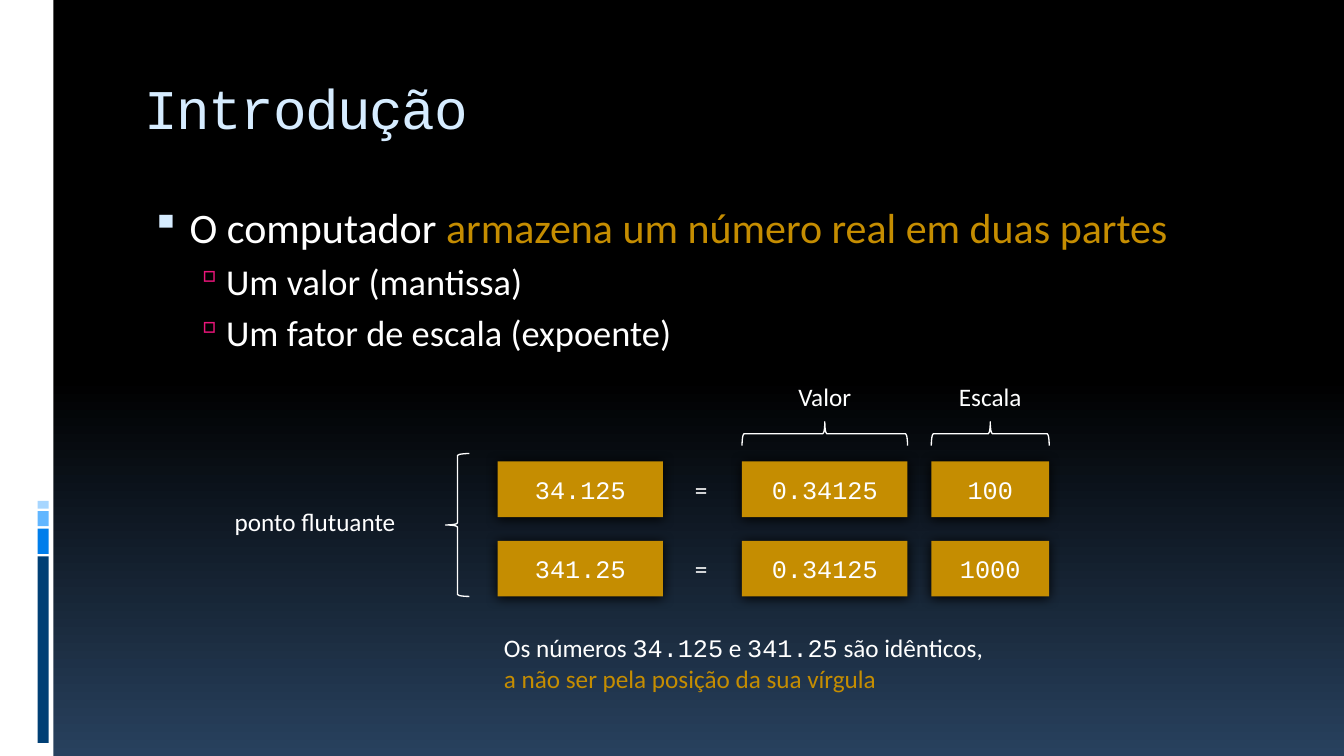
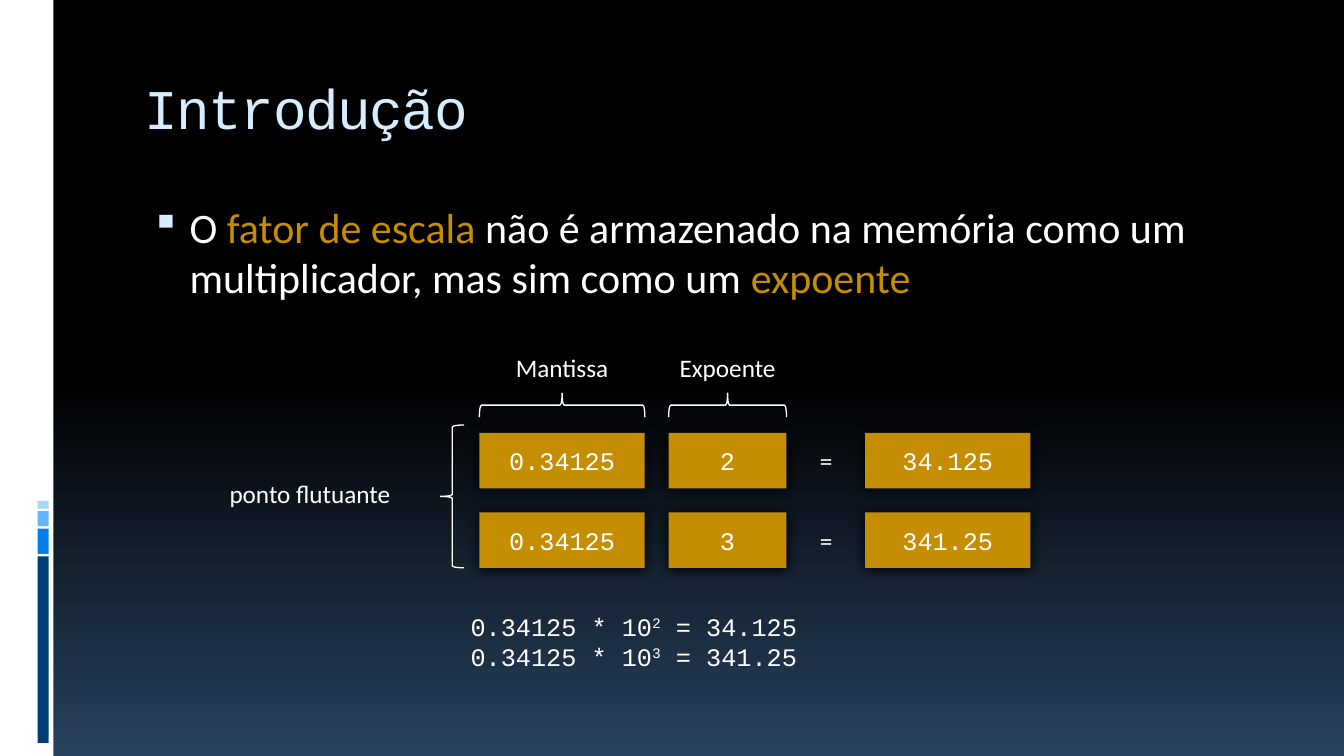
import lxml.etree
import pptx
import pptx.dml.color
import pptx.enum.shapes
import pptx.enum.text
import pptx.oxml.ns
import pptx.util

Cm = pptx.util.Cm
Pt = pptx.util.Pt
SHAPE = pptx.enum.shapes.MSO_SHAPE
ANCHOR = pptx.enum.text.MSO_ANCHOR
ALIGN = pptx.enum.text.PP_ALIGN

# Shared look
WHITE, BLACK, NAVY = "FFFFFF", "000000", "28415E"
GOLD, ICE, PINK = "C58D01", "D6ECFF", "EA157A"
SANS, MONO = "Calibri", "Courier New"
SLIDE_WIDTH, SLIDE_HEIGHT = 33.87, 19.05
BANDS = [("A7D6FF", 0.2), ("61B6FF", 0.38), ("007EEB", 0.64), ("003F75", 4.7)]
BAND_TOP, BAND_GAP = 12.62, 0.06
LEVELS = [
    {"char": "▪", "color": ICE, "percent": 95, "margin": 1.14, "hanging": 0.97,
     "size": 30, "before": 7},
    {"char": "▫", "color": PINK, "percent": 90, "margin": 2.06, "hanging": 0.79,
     "size": 26, "before": 5.2},
]

# Diagram measures
BOX_HEIGHT, ROW_PITCH = 1.4, 2.0
WIDE, NARROW = 4.17, 2.97
BRACE_DEPTH = 0.6


def rgb(hex_color):
    return pptx.dml.color.RGBColor.from_string(hex_color)


def add_child(parent, tag, **attributes):
    child = lxml.etree.SubElement(parent, pptx.oxml.ns.qn(tag))
    for name, value in attributes.items():
        child.set(name, str(value))
    return child


# Text
def write_runs(paragraph, runs, **base):
    """Each run is a string or a (string, overrides) pair."""
    for item in runs:
        text, overrides = (item, {}) if isinstance(item, str) else item
        style = {"name": SANS, "size": 18, "color": WHITE, **base, **overrides}
        run = paragraph.add_run()
        run.text = text
        run.font.color.rgb = rgb(style.pop("color"))
        style["size"] = Pt(style["size"])
        properties = run._r.get_or_add_rPr()
        for xml_name in ("spc", "baseline"):
            if xml_name in style:
                properties.set(xml_name, str(style.pop(xml_name)))
        for name, value in style.items():
            setattr(run.font, name, value)


def add_text(slide, left, top, width, height, lines, anchor=ANCHOR.TOP,
             align=ALIGN.LEFT, **base):
    shape = slide.shapes.add_textbox(Cm(left), Cm(top), Cm(width), Cm(height))
    frame = shape.text_frame
    frame.word_wrap = True
    frame.vertical_anchor = anchor
    for index, runs in enumerate(lines):
        paragraph = frame.add_paragraph() if index else frame.paragraphs[0]
        paragraph.alignment = align
        write_runs(paragraph, runs, **base)
    return shape


def add_label(slide, center_x, center_y, width, text):
    shape = add_text(slide, center_x - width / 2, center_y - 0.5, width, 1,
                     [[text]], ANCHOR.MIDDLE, ALIGN.CENTER)
    for side in ("left", "right", "top", "bottom"):
        setattr(shape.text_frame, "margin_" + side, 0)


def add_bullets(slide, items):
    shape = slide.shapes.add_textbox(Cm(3.39), Cm(4.95), Cm(28.78), Cm(12.7))
    frame = shape.text_frame
    frame.word_wrap = True
    for index, (level, runs) in enumerate(items):
        style = LEVELS[level]
        paragraph = frame.add_paragraph() if index else frame.paragraphs[0]
        paragraph.level = level
        properties = paragraph._p.get_or_add_pPr()
        properties.set("marL", str(Cm(style["margin"])))
        properties.set("indent", str(-Cm(style["hanging"])))
        add_child(add_child(properties, "a:buClr"), "a:srgbClr", val=style["color"])
        add_child(properties, "a:buSzPct", val=style["percent"] * 1000)
        add_child(properties, "a:buChar", char=style["char"])
        if index:
            paragraph.space_before = Pt(style["before"])
        write_runs(paragraph, runs, size=style["size"])


# Shapes
def add_rectangle(slide, left, top, width, height, color):
    shape = slide.shapes.add_shape(
        SHAPE.RECTANGLE, Cm(left), Cm(top), Cm(width), Cm(height))
    shape.shadow.inherit = False
    shape.fill.solid()
    shape.fill.fore_color.rgb = rgb(color)
    shape.line.fill.background()
    return shape


def add_number_box(slide, left, top, width, text):
    shape = add_rectangle(slide, left, top, width, BOX_HEIGHT, GOLD)
    effects = shape._element.spPr.find(pptx.oxml.ns.qn("a:effectLst"))
    shadow = add_child(effects, "a:outerShdw", blurRad=Pt(8.5), dist=Pt(1),
                       dir=90 * 60000, rotWithShape=0)
    add_child(shadow, "a:srgbClr", val=BLACK)
    shape.text_frame.vertical_anchor = ANCHOR.MIDDLE
    paragraph = shape.text_frame.paragraphs[0]
    paragraph.alignment = ALIGN.CENTER
    write_runs(paragraph, [text], name=MONO)


def add_brace(slide, center_x, center_y, length, rotation=0):
    shape = slide.shapes.add_shape(
        SHAPE.LEFT_BRACE, Cm(center_x - BRACE_DEPTH / 2), Cm(center_y - length / 2),
        Cm(BRACE_DEPTH), Cm(length))
    shape.rotation = rotation
    shape.shadow.inherit = False
    shape.fill.background()
    shape.line.color.rgb = rgb(WHITE)
    shape.line.width = Pt(0.94)


# Floating-point diagram
def add_diagram(slide, top, brace_left, columns, equals_x):
    """Each column is (left, width, caption or None, values)."""
    for left, width, caption, values in columns:
        for row, value in enumerate(values):
            add_number_box(slide, left, top + row * ROW_PITCH, width, value)
        if caption:
            center = left + width / 2
            add_brace(slide, center, top - 0.7, width, rotation=90)
            add_label(slide, center, top - 1.65, width, caption)
    for row in range(2):
        add_label(slide, equals_x, top + row * ROW_PITCH + BOX_HEIGHT / 2, 1, "=")
    length = ROW_PITCH + BOX_HEIGHT + 0.2
    middle = top - 0.2 + length / 2
    add_brace(slide, brace_left + BRACE_DEPTH / 2, middle, length)
    add_label(slide, brace_left - 3.29, middle - 0.08, 5, "ponto flutuante")


# Slide frame
def set_background(presentation):
    fill = presentation.slide_master.background.fill
    fill.gradient()
    fill.gradient_angle = 270
    for stop, (position, color) in zip(fill.gradient_stops, [(0.5, BLACK), (1, NAVY)]):
        stop.position = position
        stop.color.rgb = rgb(color)


def add_slide(presentation, title):
    slide = presentation.slides.add_slide(presentation.slide_layouts[6])
    add_rectangle(slide, 0, 0, 1.35, SLIDE_HEIGHT, WHITE)
    top = BAND_TOP
    for color, height in BANDS:
        add_rectangle(slide, 0.95, top, 0.28, height, color)
        top += height + BAND_GAP
    add_text(slide, 3.39, 1.42, 28.78, 2.54, [[title]], ANCHOR.MIDDLE,
             name=MONO, size=40, color=ICE, spc=-100)
    return slide


def main():
    presentation = pptx.Presentation()
    presentation.slide_width = Cm(SLIDE_WIDTH)
    presentation.slide_height = Cm(SLIDE_HEIGHT)
    set_background(presentation)
    gold, mono = {"color": GOLD}, {"name": MONO}
    mantissas, results = ["0.34125"] * 2, ["34.125", "341.25"]

    # Value and scale
    slide = add_slide(presentation, "Introdução")
    add_bullets(slide, [
        (0, ["O computador ", ("armazena um número real em duas partes", gold)]),
        (1, ["Um valor (mantissa)"]),
        (1, ["Um fator de escala (expoente)"]),
    ])
    add_diagram(slide, 11.63, 11.23, [
        (12.54, WIDE, None, results),
        (18.7, WIDE, "Valor", mantissas),
        (23.47, NARROW, "Escala", ["100", "1000"]),
    ], equals_x=17.67)
    add_text(slide, 12.45, 15.82, 12.7, 1.8, [[
        "Os números ", (results[0], mono), " e ", (results[1], mono),
        " são idênticos, ", ("a não ser pela posição da sua vírgula", gold)]])

    # Mantissa and exponent
    slide = add_slide(presentation, "Introdução")
    add_bullets(slide, [
        (0, ["O ", ("fator de escala ", gold),
             "não é armazenado na memória como um multiplicador, mas sim como um ",
             ("expoente", gold)]),
    ])
    exponents = ["2", "3"]
    add_diagram(slide, 10.91, 11.1, [
        (12.08, WIDE, "Mantissa", mantissas),
        (16.85, NARROW, "Expoente", exponents),
        (21.8, WIDE, None, results),
    ], equals_x=20.82)
    add_text(slide, 11.61, 15.27, 9.2, 1.8, [
        [f"{mantissa} * 10", (exponent, {"baseline": 30000}), f" = {result}"]
        for mantissa, exponent, result in zip(mantissas, exponents, results)
    ], name=MONO)

    presentation.save("out.pptx")


if __name__ == "__main__":
    main()
